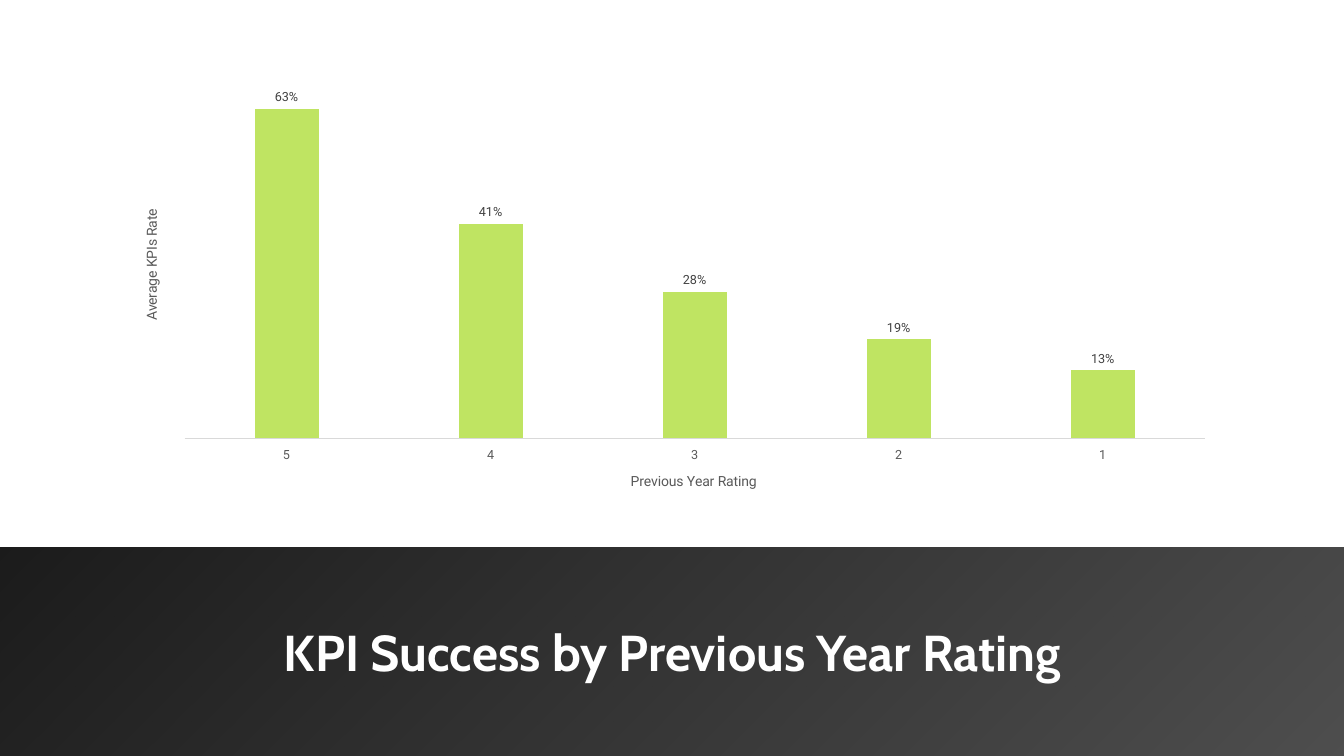
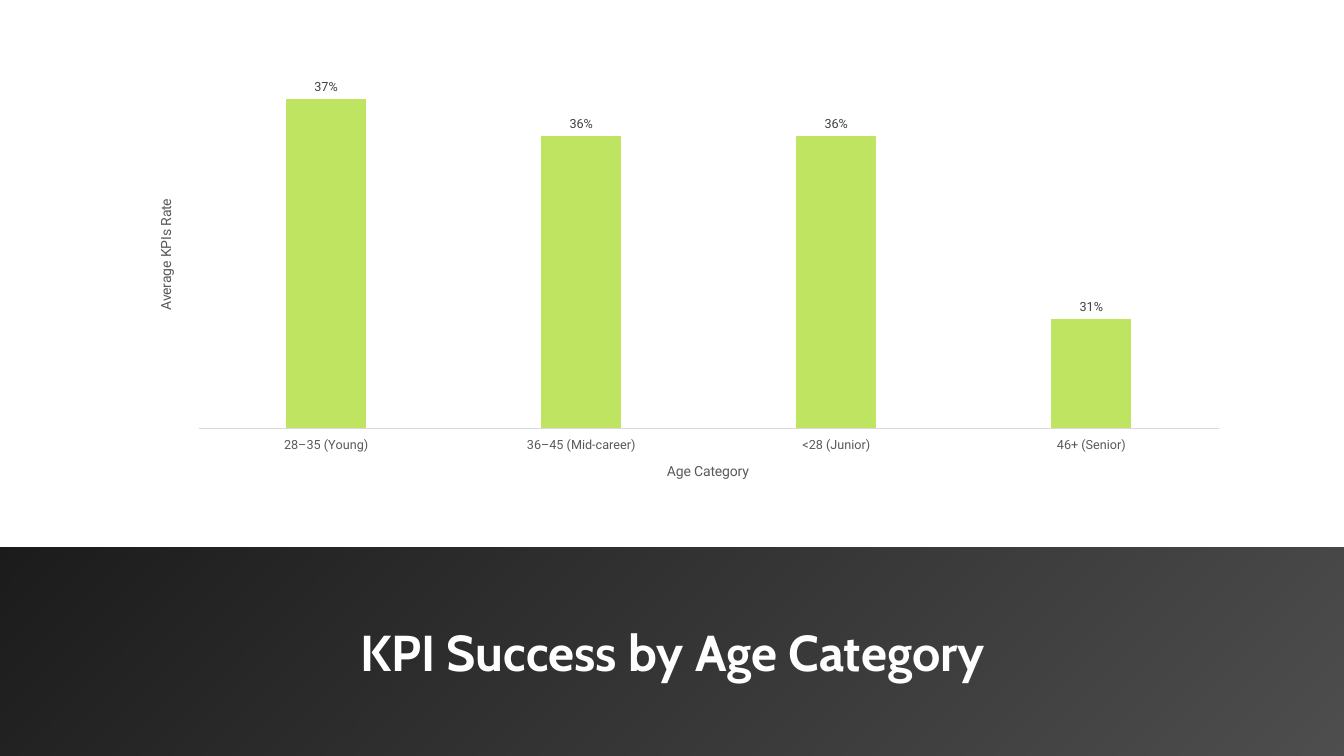
from lxml.etree import SubElement
from pptx import Presentation
from pptx.chart.data import CategoryChartData
from pptx.dml.color import RGBColor
from pptx.enum.chart import XL_CHART_TYPE, XL_LABEL_POSITION, XL_TICK_LABEL_POSITION, XL_TICK_MARK
from pptx.enum.shapes import MSO_SHAPE
from pptx.enum.text import MSO_ANCHOR, PP_ALIGN
from pptx.oxml.ns import qn
from pptx.util import Inches, Pt

WIDTH, HEIGHT = 13.33, 7.5
BAND_TOP = 5.43
CHART_WIDTH, CHART_HEIGHT = 11, 4.43
TITLE_FONT, CHART_FONT = "Cabin", "Roboto"
BLACK, WHITE, GREEN = "000000", "FFFFFF", "BFE462"
AXIS_TEXT, LABEL_TEXT, AXIS_LINE = "595959", "404040", "D9D9D9"


def color(hex_string):
    return RGBColor.from_string(hex_string)


def style_font(font, name, size, hex_string, bold=False):
    font.name = name
    font.size = Pt(size)
    font.bold = bold
    font.color.rgb = color(hex_string)


def add_band(slide):
    band = slide.shapes.add_shape(MSO_SHAPE.RECTANGLE, 0, Inches(BAND_TOP),
                                  Inches(WIDTH), Inches(HEIGHT - BAND_TOP))
    band.shadow.inherit = False
    band.line.fill.background()
    band.fill.gradient()
    band.fill.gradient_angle = 135
    for stop in band.fill.gradient_stops:
        stop.color.rgb = color(BLACK)
    stop_colors = band.element.spPr.iter(qn("a:srgbClr"))
    for stop_color, opacity in zip(list(stop_colors), (70, 90)):
        SubElement(stop_color, qn("a:alpha"), val=str(opacity * 1000))


def add_title(slide, text):
    title = slide.shapes.add_textbox(Inches(0.94), Inches(6.11), Inches(11.46), Inches(1.31))
    frame = title.text_frame
    frame.word_wrap = True
    frame.vertical_anchor = MSO_ANCHOR.TOP
    paragraph = frame.paragraphs[0]
    paragraph.text = text
    paragraph.alignment = PP_ALIGN.CENTER
    style_font(paragraph.runs[0].font, TITLE_FONT, 36, WHITE, bold=True)


def set_layout(element, **settings):
    """Place a chart part by hand, in fractions of the chart area."""
    layout = element.find(qn("c:layout"))
    if layout is None:
        layout = SubElement(element, qn("c:layout"))
        element.insert(0 if element.find(qn("c:tx")) is None else 1, layout)
    manual = SubElement(layout, qn("c:manualLayout"))
    for tag, value in settings.items():
        SubElement(manual, qn(f"c:{tag}"), val=str(value))


def add_axis_title(axis, text, x, y, rotation=0):
    axis_title = axis.axis_title
    frame = axis_title.text_frame
    frame.text = text
    style_font(frame.paragraphs[0].runs[0].font, CHART_FONT, 10, AXIS_TEXT)
    body = axis_title.element.find(".//" + qn("a:bodyPr"))
    body.set("rot", str(rotation * 60000))
    body.set("vert", "horz")
    set_layout(axis_title.element, xMode="edge", yMode="edge", x=x, y=y)


def style_category_axis(axis, title, title_x):
    axis.major_tick_mark = axis.minor_tick_mark = XL_TICK_MARK.NONE
    axis.tick_label_position = XL_TICK_LABEL_POSITION.LOW
    axis.has_major_gridlines = False
    axis.format.line.color.rgb = color(AXIS_LINE)
    axis.format.line.width = Pt(0.75)
    style_font(axis.tick_labels.font, CHART_FONT, 9, AXIS_TEXT)
    add_axis_title(axis, title, title_x, 0.91)


def style_value_axis(axis, scale):
    axis.minimum_scale, axis.maximum_scale = scale
    axis.has_major_gridlines = False
    axis.tick_labels.number_format = "0%"
    axis.tick_labels.number_format_is_linked = False
    add_axis_title(axis, "Average KPIs Rate", 0.02, 0.32, rotation=-90)
    axis.visible = False


def style_columns(plot):
    plot.gap_width = 219
    plot.overlap = -27
    plot.vary_by_categories = False
    fill = plot.series[0].format.fill
    fill.solid()
    fill.fore_color.rgb = color(GREEN)
    plot.has_data_labels = True
    labels = plot.data_labels
    labels.show_value = True
    labels.number_format = "0%"
    labels.number_format_is_linked = False
    labels.position = XL_LABEL_POSITION.OUTSIDE_END
    style_font(labels.font, CHART_FONT, 9, LABEL_TEXT)


def add_rate_chart(slide, left, top, rates, scale, category_title, category_title_x):
    data = CategoryChartData(number_format="0%")
    data.categories = list(rates)
    data.add_series("Series 1", list(rates.values()))
    chart = slide.shapes.add_chart(XL_CHART_TYPE.COLUMN_CLUSTERED, Inches(left), Inches(top),
                                   Inches(CHART_WIDTH), Inches(CHART_HEIGHT), data).chart
    chart.has_legend = False
    chart.has_title = False
    style_font(chart.font, CHART_FONT, 10, BLACK)
    style_columns(chart.plots[0])
    style_category_axis(chart.category_axis, category_title, category_title_x)
    style_value_axis(chart.value_axis, scale)
    set_layout(chart.element.find(".//" + qn("c:plotArea")), layoutTarget="inner",
               xMode="edge", yMode="edge", x=0.06, y=0.02, w=0.92, h=0.82)


def add_kpi_slide(deck, title, **chart_settings):
    slide = deck.slides.add_slide(deck.slide_layouts[6])
    slide.background.fill.solid()
    slide.background.fill.fore_color.rgb = color(WHITE)
    add_band(slide)
    add_title(slide, title)
    add_rate_chart(slide, **chart_settings)


def main():
    deck = Presentation()
    deck.slide_width, deck.slide_height = Inches(WIDTH), Inches(HEIGHT)
    add_kpi_slide(
        deck, "KPI Success by Previous Year Rating", left=1.17, top=0.63,
        rates={"5": 0.63, "4": 0.41, "3": 0.28, "2": 0.19, "1": 0.13},
        scale=(0, 0.7), category_title="Previous Year Rating", category_title_x=0.46)
    add_kpi_slide(
        deck, "KPI Success by Age Category", left=1.31, top=0.53,
        rates={"28–35 (Young)": 0.37, "36–45 (Mid-career)": 0.36,
               "<28 (Junior)": 0.36, "46+ (Senior)": 0.31},
        scale=(0.28, 0.38), category_title="Age Category", category_title_x=0.48)
    deck.save("out.pptx")


if __name__ == "__main__":
    main()
